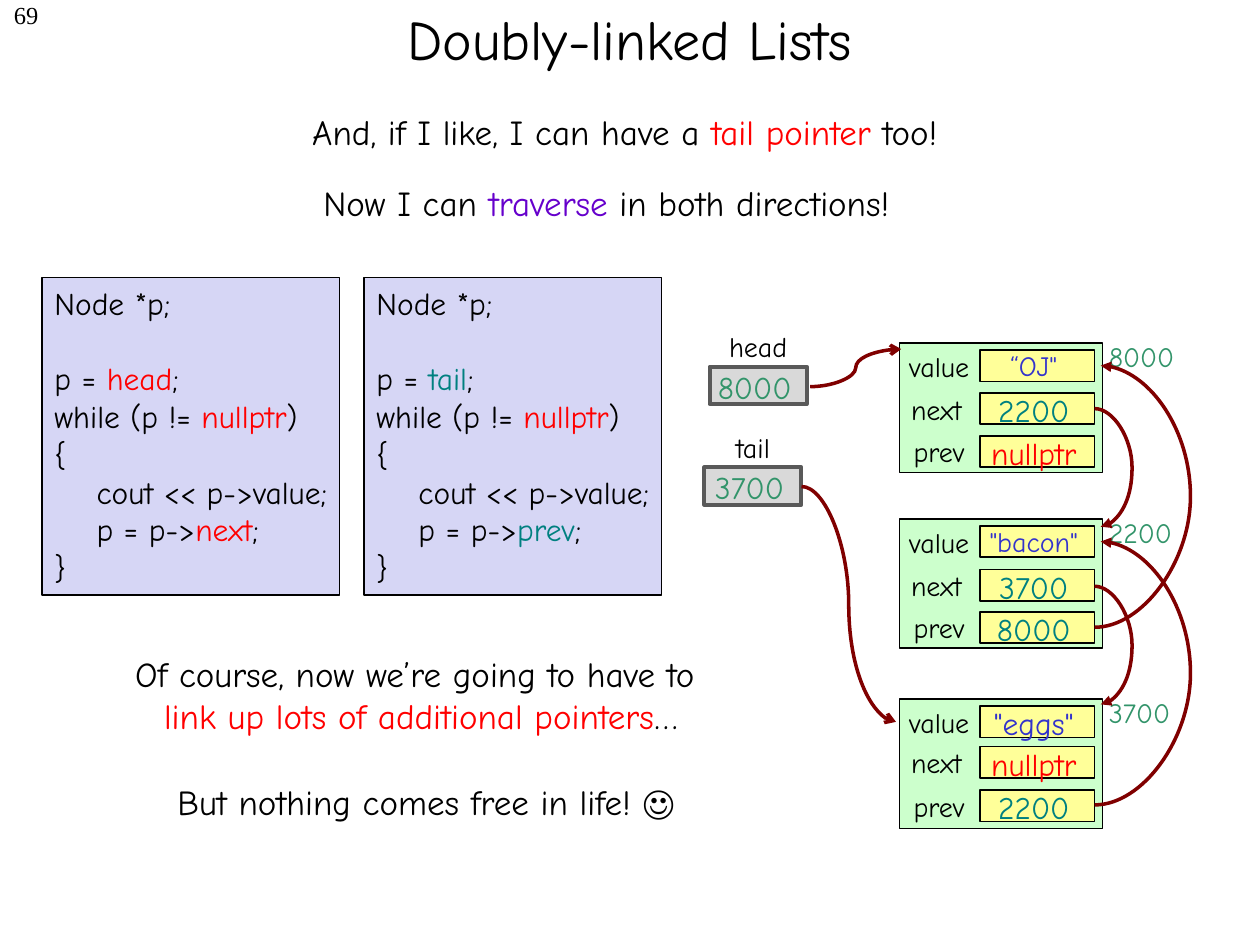
import pptx
import pptx.util
from pptx.dml.color import RGBColor
from pptx.enum.shapes import MSO_CONNECTOR, MSO_SHAPE
from pptx.enum.text import MSO_ANCHOR, MSO_AUTO_SIZE, PP_ALIGN
from pptx.oxml.ns import qn
from lxml import etree

Pt = pptx.util.Pt
FONT = "Comic Neue"

BLACK = RGBColor(0x00, 0x00, 0x00)
RED = RGBColor(0xFF, 0x00, 0x00)
TEAL = RGBColor(0x00, 0x80, 0x80)
PURPLE = RGBColor(0x66, 0x00, 0xCC)
BLUE = RGBColor(0x33, 0x33, 0xCC)
ADDRESS_GREEN = RGBColor(0x32, 0x94, 0x6A)
NODE_GREEN = RGBColor(0xCC, 0xFF, 0xCC)
FIELD_YELLOW = RGBColor(0xFF, 0xFF, 0x99)
POINTER_GREY = RGBColor(0xD9, 0xD9, 0xD9)
POINTER_EDGE = RGBColor(0x59, 0x59, 0x59)
CODE_LILAC = RGBColor(0xD6, 0xD6, 0xF5)
ARROW_MAROON = RGBColor(0x80, 0x00, 0x00)

# Content: a paragraph is a list of (text, colour) runs
TITLE = "Doubly-linked Lists"
PAGE = "69"
REMARKS = [  # left, top, width, lines
    (24, 59.5, 666, [[("And, if I like, I can have a ", BLACK), ("tail pointer ", RED),
                      ("too!", BLACK)]]),
    (13.5, 100, 666, [[("Now I can ", BLACK), ("traverse ", PURPLE),
                       ("in both directions!", BLACK)]]),
    (32.5, 369.5, 416, [[("Of course, now we’re going to have to ", BLACK)],
                        [("link up lots of additional pointers", RED), ("…", BLACK)]]),
    (35.5, 442.5, 416, [[("But nothing comes free in life! ☺", BLACK)]]),
]
LOOPS = [("head", "next", RED, 24), ("tail", "prev", TEAL, 208)]  # start, step, colour, left
POINTERS = [("head", "8000", 405.5, 209.5), ("tail", "3700", 402.5, 267)]
FIELDS = [("value", 512.5, 52.5), ("next", 513.5, 49), ("prev", 515, 47.5)]  # name, left, width
NODES = [  # address, top, (field offset, content, colour, size)
    ("8000", 196, [(4, "“OJ\"", BLUE, 16), (28.5, "2200", TEAL, 18), (53, "nullptr", RED, 18)]),
    ("2200", 296.5, [(4, "\"bacon\"", BLUE, 16), (29, "3700", TEAL, 18), (53, "8000", TEAL, 18)]),
    ("3700", 399.5, [(4, "\"eggs\"", BLUE, 18), (27, "nullptr", RED, 18), (52, "2200", TEAL, 18)]),
]
LINKS = [  # start, end, x of the bend, arrowhead
    ((463, 221), (515, 199.5), 489, "arrow"),
    ((458, 278), (512, 412.5), 485, "arrow"),
    ((625.5, 233.5), (629, 301), 647, "triangle"),
    ((625.5, 335), (629, 402.5), 647, "triangle"),
    ((625.5, 358.5), (629, 209), 680.5, "triangle"),
    ((625.5, 460), (629, 309.5), 680.5, "triangle"),
]
NODE_LEFT, NODE_SIZE = 514, (116, 74)
FIELD_LEFT, FIELD_SIZE = 560, (65.5, 18)
POINTER_SIZE = (55.5, 21.5)
VALUE_WIDTH = 80  # room for every value on one line
ADDRESS_LEFT = 626.5
CODE_TOP, CODE_SIZE = 158.5, (170, 181.5)


def add_runs(paragraph, runs, size, font=FONT):
    for text, colour in runs:
        run = paragraph.add_run()
        run.text = text
        run.font.name = font
        run.font.size = Pt(size)
        run.font.color.rgb = colour


def add_box(slide, left, top, size, fill, edge=BLACK, weight=1):
    box = slide.shapes.add_shape(MSO_SHAPE.RECTANGLE, Pt(left), Pt(top), Pt(size[0]), Pt(size[1]))
    box.shadow.inherit = False
    box.fill.solid()
    box.fill.fore_color.rgb = fill
    box.line.color.rgb = edge
    box.line.width = Pt(weight)
    return box


def add_text(slide, left, top, width, lines, size, align=PP_ALIGN.LEFT, wrap=False, font=FONT):
    height = len(lines) * size * 1.2 + 7.2
    area = slide.shapes.add_textbox(Pt(left), Pt(top), Pt(width), Pt(height))
    frame = area.text_frame
    frame.word_wrap = wrap
    frame.auto_size = MSO_AUTO_SIZE.SHAPE_TO_FIT_TEXT
    paragraph = frame.paragraphs[0]
    paragraph.alignment = align
    for index, runs in enumerate(lines):
        if index:
            paragraph.add_line_break()
        add_runs(paragraph, runs, size, font)
    return frame


def add_centred(slide, center, top, text, colour, size):
    add_text(slide, center - VALUE_WIDTH / 2, top, VALUE_WIDTH, [[(text, colour)]], size,
             PP_ALIGN.CENTER)


def add_loop(slide, start, step, colour, left):
    code = [
        [("Node *p;", BLACK)],
        [],
        [("p = ", BLACK), (start, colour), (";", BLACK)],
        [("while (p != ", BLACK), ("nullptr", RED), (")", BLACK)],
        [("{", BLACK)],
        [("    cout << p->value;", BLACK)],
        [("    p = p->", BLACK), (step, colour), (";", BLACK)],
        [("}", BLACK)],
    ]
    frame = add_box(slide, left, CODE_TOP, CODE_SIZE, CODE_LILAC, weight=0.75).text_frame
    frame.word_wrap = False
    frame.vertical_anchor = MSO_ANCHOR.TOP
    for index, runs in enumerate(code):
        paragraph = frame.add_paragraph() if index else frame.paragraphs[0]
        paragraph.alignment = PP_ALIGN.LEFT
        add_runs(paragraph, runs, 18)
        if not runs:  # the empty code line keeps the height of the others
            end = etree.SubElement(paragraph._p, qn("a:endParaRPr"), sz="1800")
            etree.SubElement(end, qn("a:latin"), typeface=FONT)


def add_link(slide, start, end, bend, head):
    link = slide.shapes.add_connector(MSO_CONNECTOR.CURVE, *(Pt(v) for v in start + end))
    link.line.color.rgb = ARROW_MAROON
    link.line.width = Pt(2)
    etree.SubElement(link.line._get_or_add_ln(), qn("a:tailEnd"), type=head)
    properties = link._element.spPr
    etree.SubElement(properties, qn("a:effectLst"))
    share = round((bend - start[0]) / (end[0] - start[0]) * 100000)
    guides = properties.find(qn("a:prstGeom")).find(qn("a:avLst"))
    etree.SubElement(guides, qn("a:gd"), name="adj1", fmla=f"val {share}")


def main():
    deck = pptx.Presentation()
    deck.slide_width, deck.slide_height = Pt(720), Pt(540)
    slide = deck.slides.add_slide(deck.slide_layouts[5])

    # Title and page number
    title = slide.shapes.title
    title.left, title.top, title.width, title.height = Pt(54), Pt(-23), Pt(612), Pt(90)
    title.text_frame.auto_size = MSO_AUTO_SIZE.NONE
    title.text_frame.vertical_anchor = MSO_ANCHOR.MIDDLE
    title.text_frame.paragraphs[0].alignment = PP_ALIGN.CENTER
    add_runs(title.text_frame.paragraphs[0], [(TITLE, BLACK)], 32)
    page = add_text(slide, 0, 0, 29, [[(PAGE, BLACK)]], 14, PP_ALIGN.RIGHT, font="Times New Roman")
    page.margin_top = 0

    # Nodes with their fields and addresses
    field_center = FIELD_LEFT + FIELD_SIZE[0] / 2
    for address, top, contents in NODES:
        add_box(slide, NODE_LEFT, top, NODE_SIZE, NODE_GREEN)
        for (name, left, width), (offset, content, colour, size) in zip(FIELDS, contents):
            field_top = top + offset
            add_box(slide, FIELD_LEFT, field_top, FIELD_SIZE, FIELD_YELLOW)
            add_text(slide, left, field_top - 4, width, [[(name, BLACK)]], 16)
            add_centred(slide, field_center - 2, field_top - 4.5, content, colour, size)
        add_text(slide, ADDRESS_LEFT, top - 5.5, 54, [[(address, ADDRESS_GREEN)]], 16)

    # Head and tail pointers
    for name, address, left, top in POINTERS:
        center = left + POINTER_SIZE[0] / 2
        add_box(slide, left, top, POINTER_SIZE, POINTER_GREY, POINTER_EDGE, 2.25)
        add_centred(slide, center, top - 24.5, name, BLACK, 16)
        add_centred(slide, center - 2, top - 3, address, ADDRESS_GREEN, 18)

    # Links, code and remarks
    for link in LINKS:
        add_link(slide, *link)
    for loop in LOOPS:
        add_loop(slide, *loop)
    for left, top, width, lines in REMARKS:
        add_text(slide, left, top, width, lines, 20, PP_ALIGN.CENTER, wrap=True)

    deck.save("out.pptx")


if __name__ == "__main__":
    main()
